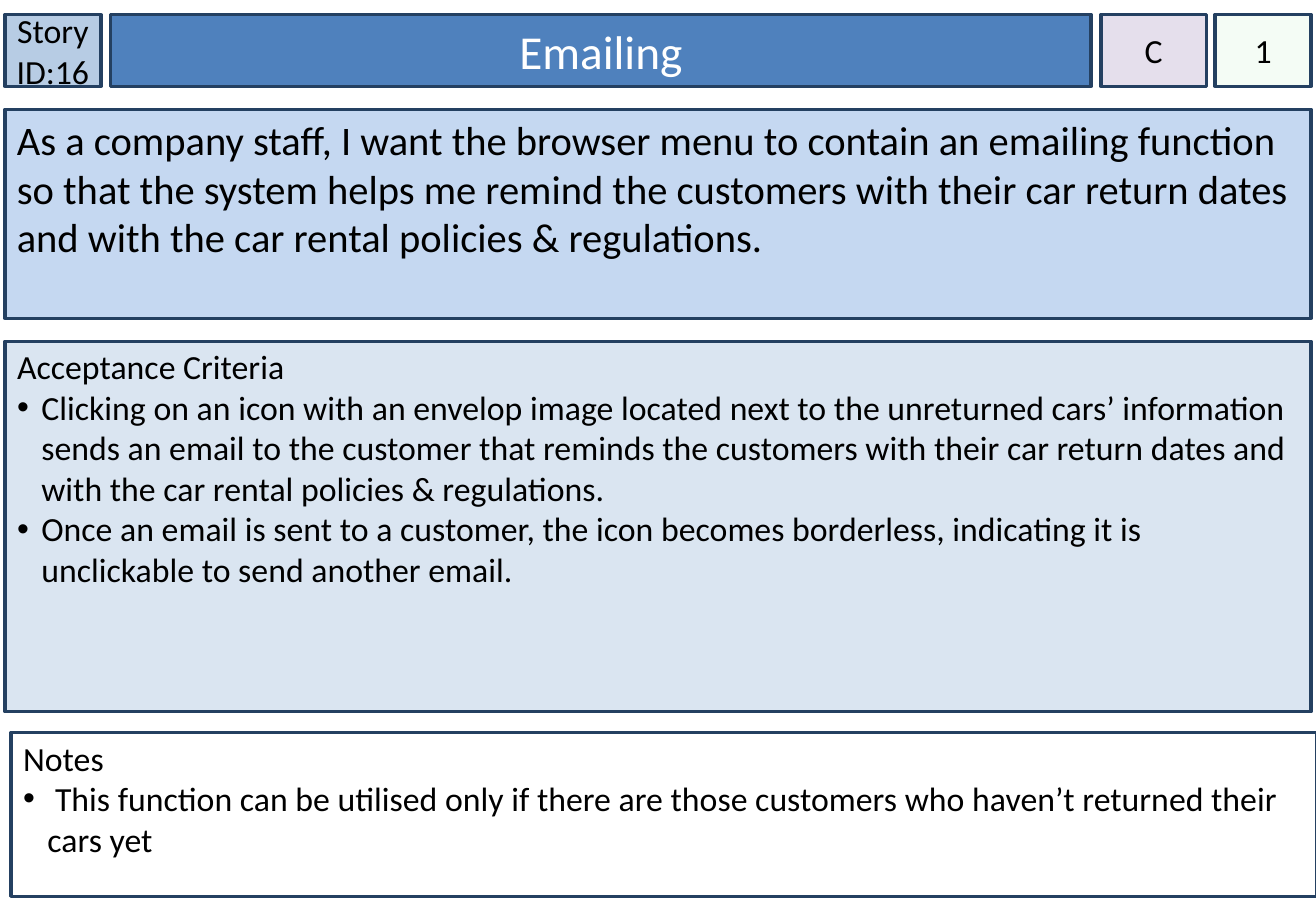
from lxml import etree
from pptx import Presentation
from pptx.dml.color import RGBColor
from pptx.enum.shapes import MSO_SHAPE
from pptx.enum.text import MSO_ANCHOR, MSO_AUTO_SIZE, PP_ALIGN
from pptx.oxml.ns import qn
from pptx.util import Inches, Pt

RECT = MSO_SHAPE.RECTANGLE
TOP, MIDDLE = MSO_ANCHOR.TOP, MSO_ANCHOR.MIDDLE
LEFT, CENTER = PP_ALIGN.LEFT, PP_ALIGN.CENTER
FIXED = MSO_AUTO_SIZE.NONE

COLORS = {
    "edge": "244061",
    "ink": "000000",
    "white": "FFFFFF",
    "id": "B7CCE4",
    "title": "4F81BD",
    "story": "C5D8F1",
    "rules": "DAE5F1",
    "rank": "E5DFEC",
    "points": "CCF0CD",
}


def color(name):
    return RGBColor.from_string(COLORS[name])


class Card:
    font = "Calibri"
    edge = 2
    indent = 0.2

    def __init__(self, slide):
        self.slide = slide

    def panel(self, shape, box, fill):
        shape.left, shape.top, shape.width, shape.height = map(Inches, box)
        shape.shadow.inherit = False
        shape.fill.solid()
        shape.fill.fore_color.rgb = color(fill)
        shape.line.color.rgb = color("edge")
        shape.line.width = Pt(self.edge)

    def label(self, shape, text, size, ink="ink", align=LEFT, anchor=TOP,
              side=0.1, top=0.05):
        frame = shape.text_frame
        frame.text = text
        frame.word_wrap = True
        frame.auto_size = FIXED
        frame.vertical_anchor = anchor
        frame.margin_left = frame.margin_right = Inches(side)
        frame.margin_top, frame.margin_bottom = Inches(top), Inches(0.05)
        for para in frame.paragraphs:
            para.alignment = align
            para.space_before = Pt(0)
            for run in para.runs:
                run.font.name = self.font
                run.font.size = Pt(size)
                run.font.color.rgb = color(ink)

    def title(self, text, box):
        shape = self.slide.shapes.title
        self.panel(shape, box, "title")
        self.label(shape, text, 28, "white", CENTER, MIDDLE)

    def rect(self, box, fill):
        shape = self.slide.shapes.add_shape(RECT, *map(Inches, box))
        self.panel(shape, box, fill)
        return shape

    def badge(self, text, box, fill):
        shape = self.rect(box, fill)
        self.label(shape, text, 20, align=CENTER, anchor=MIDDLE, side=0)
        return shape

    def story(self, text, box):
        self.label(self.rect(box, "story"), text, 24)

    def list(self, index, head, items, box, fill):
        shape = self.slide.placeholders[index]
        self.panel(shape, box, fill)
        self.label(shape, "\n".join([head, *items]), 20, top=0.04)
        first, *rest = shape.text_frame.paragraphs
        self.bullet(first, 0, "buNone")
        for para in rest:
            self.bullet(para, self.indent, "buChar", char="•")

    def bullet(self, para, indent, tag, **attrs):
        props = para._p.get_or_add_pPr()
        props.set("marL", str(Inches(indent)))
        props.set("indent", str(-Inches(indent)))
        etree.SubElement(props, qn("a:" + tag), **attrs)

    def fade(self, shape, percent):
        tint = shape.fill._xPr.find(".//" + qn("a:srgbClr"))
        etree.SubElement(tint, qn("a:alpha"), val=str(percent * 1000))


def main():
    deck = Presentation()
    deck.slide_width, deck.slide_height = Inches(10.83), Inches(7.5)
    card = Card(deck.slides.add_slide(deck.slide_layouts[3]))

    left, wide = 0.04, 10.75
    top, high = 0.12, 0.59

    card.badge("Story ID:16", (left, top, 0.79, high), "id")
    card.title("Emailing", (0.91, top, 8.07, high))
    card.badge("C", (9.06, top, 0.87, high), "rank")
    points = card.badge("1", (10, top, 0.79, high), "points")
    card.fade(points, 20)

    card.story(
        "As a company staff, I want the browser menu to contain an emailing "
        "function so that the system helps me remind the customers with their "
        "car return dates and with the car rental policies & regulations.",
        (left, 0.9, wide, 1.72),
    )
    card.list(
        1,
        "Acceptance Criteria",
        [
            "Clicking on an icon with an envelop image located next to the "
            "unreturned cars’ information sends an email to the customer that "
            "reminds the customers with their car return dates and with the "
            "car rental policies & regulations.",
            "Once an email is sent to a customer, the icon becomes borderless, "
            "indicating it is unclickable to send another email.",
        ],
        (left, 2.81, wide, 3.05),
        "rules",
    )
    card.list(
        2,
        "Notes",
        [
            " This function can be utilised only if there are those customers "
            "who haven’t returned their cars yet",
        ],
        (0.09, 6.03, wide, 1.35),
        "white",
    )
    deck.save("out.pptx")


if __name__ == "__main__":
    main()
